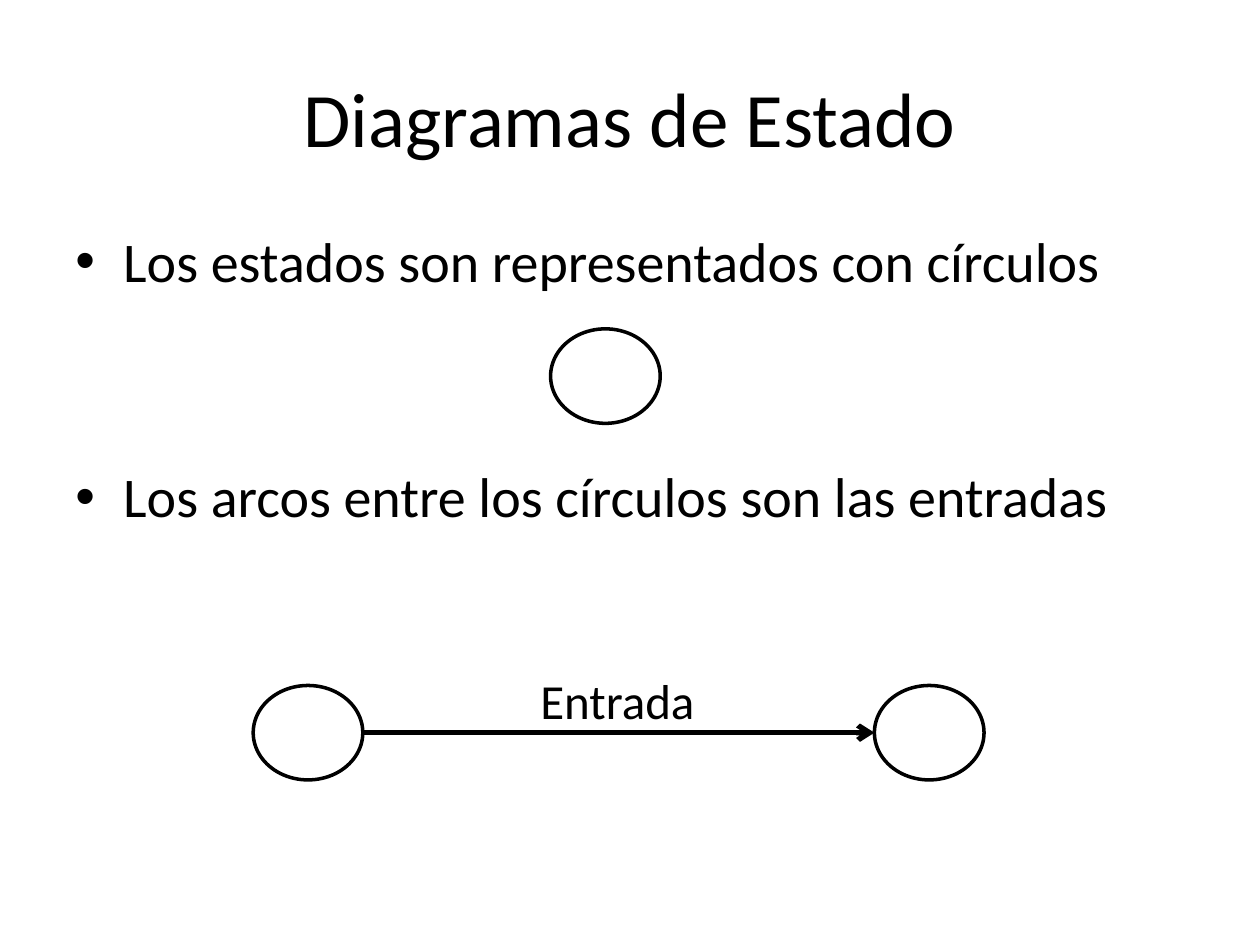
from lxml.etree import SubElement
from pptx import Presentation
from pptx.dml.color import RGBColor
from pptx.enum.shapes import MSO_CONNECTOR, MSO_SHAPE
from pptx.enum.text import MSO_ANCHOR, PP_ALIGN
from pptx.oxml.ns import qn
from pptx.util import Inches, Pt

BLACK = RGBColor(0x00, 0x00, 0x00)
FONT = "Calibri"
TITLE = "Diagramas de Estado"
BULLETS = [
    ("Los estados son representados con círculos", 0),
    ("Los arcos entre los círculos son las entradas", 96),
]
ARROW_LABEL = "Entrada"
STATE_WIDTH, STATE_HEIGHT = 0.87, 0.75
EXAMPLE_STATE = (4.37, 2.61)
START_STATE = (2.01, 5.44)
END_STATE = (6.94, 5.44)
BULLET_INDENT = 0.38


def add_text(page, place, lines, size, wrap=True, **paragraph_format):
    box = page.shapes.add_textbox(*map(Inches, place))
    frame = box.text_frame
    frame.word_wrap = wrap
    for index, (text, space_before) in enumerate(lines):
        para = frame.paragraphs[0] if index == 0 else frame.add_paragraph()
        values = {"space_before": Pt(space_before), **paragraph_format}
        for name, value in values.items():
            setattr(para, name, value)
        span = para.add_run()
        span.text = text
        for name, value in {"name": FONT, "size": Pt(size)}.items():
            setattr(span.font, name, value)
        span.font.color.rgb = BLACK
    return frame


def add_bullet(para):
    properties = para._p.get_or_add_pPr()
    properties.set("marL", str(Inches(BULLET_INDENT)))
    properties.set("indent", str(-Inches(BULLET_INDENT)))
    SubElement(properties, qn("a:buFont")).set("typeface", "Arial")
    SubElement(properties, qn("a:buChar")).set("char", "•")


def add_state(page, position):
    place = (*position, STATE_WIDTH, STATE_HEIGHT)
    state = page.shapes.add_shape(MSO_SHAPE.OVAL, *map(Inches, place))
    state.shadow.inherit = False
    state.fill.background()
    state.line.color.rgb = BLACK
    state.line.width = Pt(2)
    return state


def add_arrow(page, start, end):
    middle = start.top + start.height // 2
    arrow = page.shapes.add_connector(
        MSO_CONNECTOR.STRAIGHT, start.left + start.width, middle, end.left, middle
    )
    arrow.line.color.rgb = BLACK
    arrow.line.width = Pt(3)
    SubElement(arrow.line._get_or_add_ln(), qn("a:tailEnd")).set("type", "arrow")
    SubElement(arrow._element.spPr, qn("a:effectLst"))


def main():
    deck = Presentation()
    deck.slide_width, deck.slide_height = Inches(10), Inches(7.5)
    page = deck.slides.add_slide(deck.slide_layouts[6])

    title = add_text(
        page, (0.5, 0.3, 9, 1.25), [(TITLE, 0)], 44, alignment=PP_ALIGN.CENTER
    )
    title.vertical_anchor = MSO_ANCHOR.MIDDLE

    body = add_text(page, (0.5, 1.75, 9, 4.95), BULLETS, 32)
    for para in body.paragraphs:
        add_bullet(para)

    _, start, end = [
        add_state(page, position)
        for position in (EXAMPLE_STATE, START_STATE, END_STATE)
    ]
    add_arrow(page, start, end)
    add_text(page, (4.19, 5.27, 1.44, 0.57), [(ARROW_LABEL, 0)], 28, wrap=False)

    deck.save("out.pptx")


if __name__ == "__main__":
    main()
